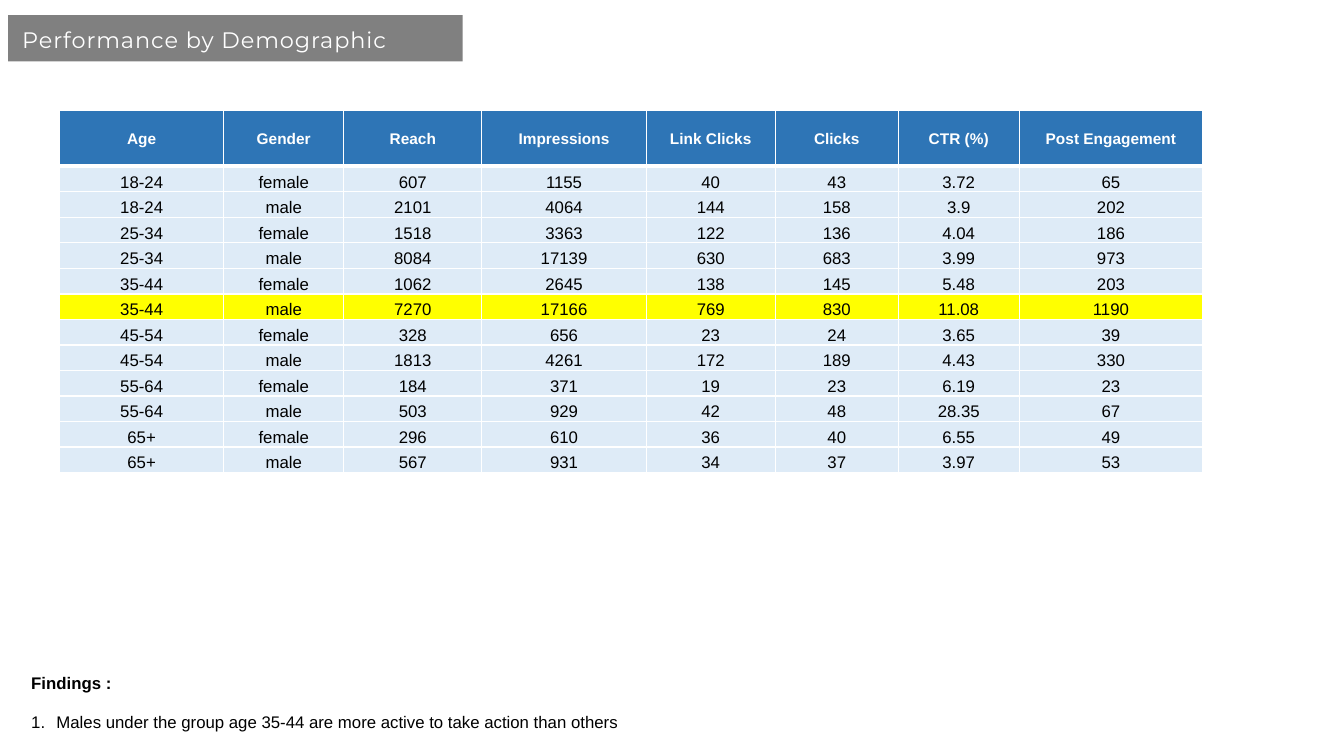
from dataclasses import dataclass

from lxml import etree
from pptx import Presentation
from pptx.dml.color import RGBColor
from pptx.enum.shapes import MSO_SHAPE
from pptx.enum.text import MSO_ANCHOR, MSO_AUTO_SIZE, PP_ALIGN
from pptx.oxml.ns import qn
from pptx.util import Inches, Pt

RECT = MSO_SHAPE.RECTANGLE
TOP, MIDDLE, BOTTOM = MSO_ANCHOR.TOP, MSO_ANCHOR.MIDDLE, MSO_ANCHOR.BOTTOM
LEFT, CENTER = PP_ALIGN.LEFT, PP_ALIGN.CENTER
NO_FIT = MSO_AUTO_SIZE.NONE


@dataclass(frozen=True)
class Theme:
    white: str = "FFFFFF"
    black: str = "000000"
    gray: str = "808080"
    blue: str = "2E75B6"
    pale: str = "DEEBF7"
    mark: str = "FFFF00"
    font: str = "Arial"
    display: str = "Montserrat"
    title: float = 16
    head: float = 11
    body: float = 12


THEME = Theme()

WIDTHS = [1.63, 1.19, 1.37, 1.63, 1.28, 1.22, 1.2, 1.82]
HEAD_H, TABLE_H = 0.55, 3.59
HEADS = ["Age", "Gender", "Reach", "Impressions", "Link Clicks", "Clicks",
         "CTR (%)", "Post Engagement"]
ROWS = [
    ["18-24", "female", "607", "1155", "40", "43", "3.72", "65"],
    ["18-24", "male", "2101", "4064", "144", "158", "3.9", "202"],
    ["25-34", "female", "1518", "3363", "122", "136", "4.04", "186"],
    ["25-34", "male", "8084", "17139", "630", "683", "3.99", "973"],
    ["35-44", "female", "1062", "2645", "138", "145", "5.48", "203"],
    ["35-44", "male", "7270", "17166", "769", "830", "11.08", "1190"],
    ["45-54", "female", "328", "656", "23", "24", "3.65", "39"],
    ["45-54", "male", "1813", "4261", "172", "189", "4.43", "330"],
    ["55-64", "female", "184", "371", "19", "23", "6.19", "23"],
    ["55-64", "male", "503", "929", "42", "48", "28.35", "67"],
    ["65+", "female", "296", "610", "36", "40", "6.55", "49"],
    ["65+", "male", "567", "931", "34", "37", "3.97", "53"],
]
BEST = ["35-44", "male"]


def style(para, size, color, bold=False, font=THEME.font):
    for run in para.runs:
        run.font.size = Pt(size)
        run.font.name = font
        run.font.bold = bold
        run.font.color.rgb = RGBColor.from_string(color)


def place(shape, left, top, width, height):
    shape.left, shape.top = Inches(left), Inches(top)
    shape.width, shape.height = Inches(width), Inches(height)


def border(cell, base):
    """Draw thin white edges, with the given weight in points below."""
    props = cell._tc.get_or_add_tcPr()
    for spot, (side, weight) in enumerate(
            [("L", 1), ("R", 1), ("T", 1), ("B", base)]):
        line = etree.Element(qn(f"a:ln{side}"), w=str(Pt(weight)))
        fill = etree.SubElement(line, qn("a:solidFill"))
        etree.SubElement(fill, qn("a:srgbClr"), val=THEME.white)
        props.insert(spot, line)


def fill_cell(cell, text, fill, size, color, head):
    cell.text_frame.text = text
    para = cell.text_frame.paragraphs[0]
    para.alignment = CENTER
    style(para, size, color, head)
    cell.vertical_anchor = MIDDLE if head else BOTTOM
    cell.margin_left = cell.margin_right = cell.margin_top = Inches(0.01)
    cell.margin_bottom = 0
    cell.fill.solid()
    cell.fill.fore_color.rgb = RGBColor.from_string(fill)
    border(cell, 3 if head else 1)


def add_grid(slide):
    frame = slide.shapes.add_table(
        len(ROWS) + 1, len(HEADS), Inches(0.59), Inches(1.1),
        Inches(sum(WIDTHS)), Inches(TABLE_H))
    table = frame.table
    table.horz_banding = False
    for col, width in zip(table.columns, WIDTHS):
        col.width = Inches(width)
    for num, values in enumerate([HEADS] + ROWS):
        head = num == 0
        table.rows[num].height = Inches(
            HEAD_H if head else (TABLE_H - HEAD_H) / len(ROWS))
        if head:
            look = (THEME.blue, THEME.head, THEME.white)
        else:
            fill = THEME.mark if values[:2] == BEST else THEME.pale
            look = (fill, THEME.body, THEME.black)
        for col, text in enumerate(values):
            fill_cell(table.cell(num, col), text, *look, head)


def add_banner(slide):
    bar = slide.shapes.add_shape(
        RECT, Inches(0.08), Inches(0.15), Inches(4.51), Inches(0.46))
    bar.shadow.inherit = False
    bar.fill.solid()
    bar.fill.fore_color.rgb = RGBColor.from_string(THEME.gray)
    bar.line.fill.background()


def set_title(slide, text):
    title = slide.shapes.title
    place(title, 0.21, 0.17, 4.52, 0.36)
    frame = title.text_frame
    frame.text = text
    frame.auto_size = NO_FIT
    frame.vertical_anchor = TOP
    frame.margin_left = Inches(0.01)
    frame.margin_top = Inches(0.09)
    frame.margin_right = frame.margin_bottom = 0
    para = frame.paragraphs[0]
    para.alignment = LEFT
    para.space_before = Pt(0.7)
    style(para, THEME.title, THEME.white, font=THEME.display)
    para.runs[0]._r.get_or_add_rPr().set("spc", "70")
    # Bring the title in front of its banner
    title.element.getparent().append(title.element)


def set_notes(slide, label, items):
    body = slide.placeholders[1]
    place(body, 0.21, 6.62, 12.78, 0.71)
    frame = body.text_frame
    frame.text = "\n".join([label] + items)
    frame.auto_size = NO_FIT
    frame.vertical_anchor = TOP
    for num, para in enumerate(frame.paragraphs):
        listed = num > 0
        para.alignment = LEFT
        para.space_before = Pt(14 if num == 1 else 0)
        style(para, THEME.body, THEME.black, not listed)
        props = para._p.get_or_add_pPr()
        indent = Inches(0.25) if listed else 0
        props.set("marL", str(indent))
        props.set("indent", str(-indent))
        if listed:
            etree.SubElement(props, qn("a:buFont"), typeface=THEME.font)
            etree.SubElement(props, qn("a:buAutoNum"), type="arabicPeriod")
        else:
            etree.SubElement(props, qn("a:buNone"))


def main():
    deck = Presentation()
    deck.slide_width, deck.slide_height = Inches(13.33), Inches(7.5)
    slide = deck.slides.add_slide(deck.slide_layouts[1])

    # Heading
    add_banner(slide)
    set_title(slide, "Performance by Demographic")

    # Results and what they show
    add_grid(slide)
    set_notes(slide, "Findings :", [
        "Males under the group age 35-44 are more active to take action "
        "than others"])

    deck.save("out.pptx")


if __name__ == "__main__":
    main()
